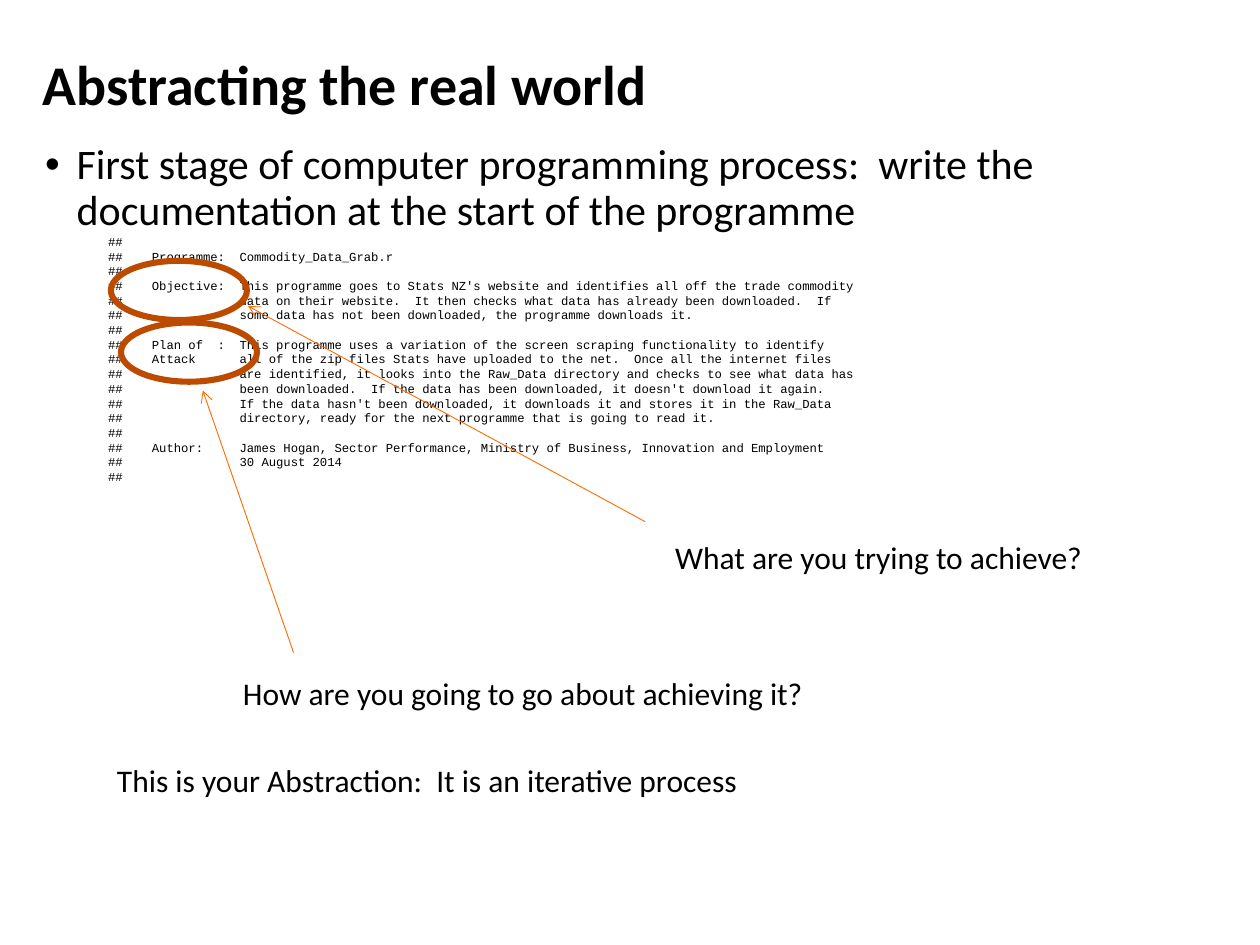
from lxml.etree import SubElement
from pptx import Presentation
from pptx.dml.color import RGBColor
from pptx.enum.shapes import MSO_CONNECTOR, MSO_SHAPE
from pptx.enum.text import MSO_ANCHOR, MSO_AUTO_SIZE, PP_ALIGN
from pptx.oxml.ns import qn
from pptx.util import Inches, Pt

HEADER = [
    "##",
    "##    Programme:  Commodity_Data_Grab.r",
    "##",
    "##    Objective:  This programme goes to Stats NZ's website and identifies all off the trade commodity",
    "##                data on their website.  It then checks what data has already been downloaded.  If",
    "##                some data has not been downloaded, the programme downloads it.",
    "##",
    "##    Plan of  :  This programme uses a variation of the screen scraping functionality to identify",
    "##    Attack      all of the zip files Stats have uploaded to the net.  Once all the internet files",
    "##                are identified, it looks into the Raw_Data directory and checks to see what data has",
    "##                been downloaded.  If the data has been downloaded, it doesn't download it again.",
    "##                If the data hasn't been downloaded, it downloads it and stores it in the Raw_Data",
    "##                directory, ready for the next programme that is going to read it.",
    "##",
    "##    Author:     James Hogan, Sector Performance, Ministry of Business, Innovation and Employment",
    "##                30 August 2014",
    "##",
]


def color(hex_code):
    return RGBColor.from_string(hex_code)


def write(p, text, size=18, font="Calibri", bold=False, spacing=None):
    p.alignment = PP_ALIGN.LEFT
    p.line_spacing = spacing
    r = p.add_run()
    r.text = text
    r.font.size = Pt(size)
    r.font.name = font
    r.font.bold = bold
    r.font.color.rgb = color("000000")


def indent(p, left, first=0, bullet=None):
    pPr = p._p.get_or_add_pPr()
    pPr.set("marL", str(Inches(left)))
    pPr.set("indent", str(Inches(first)))
    if bullet:
        SubElement(pPr, qn("a:buFont")).set("typeface", "Arial")
        SubElement(pPr, qn("a:buChar")).set("char", bullet)


def add_title(s, text):
    title = s.shapes.title
    title.left, title.top = Inches(0.24), Inches(0.26)
    title.width, title.height = Inches(8.63), Inches(0.87)
    tf = title.text_frame
    tf.auto_size = MSO_AUTO_SIZE.NONE
    tf.vertical_anchor = MSO_ANCHOR.MIDDLE
    write(tf.paragraphs[0], text, size=32, bold=True, spacing=0.9)


def add_body(s, point, code):
    box = s.shapes.add_textbox(Inches(0.26), Inches(1.09), Inches(8.63), Inches(5.38))
    tf = box.text_frame
    tf.word_wrap = True
    p = tf.paragraphs[0]
    indent(p, 0.25, -0.25, "•")
    write(p, point, size=24, spacing=0.9)
    for line in code:
        p = tf.add_paragraph()
        p.level = 1
        indent(p, 0.5)
        write(p, line, size=7, font="Courier New", spacing=Pt(8.4))


def add_ring(s, left, top):
    ring = s.shapes.add_shape(MSO_SHAPE.OVAL, Inches(left), Inches(top), Inches(1.08), Inches(0.47))
    ring.shadow.inherit = False
    ring.fill.background()
    ring.line.color.rgb = color("BC4B00")
    ring.line.width = Pt(3.5)


def add_arrow(s, x1, y1, x2, y2):
    arrow = s.shapes.add_connector(
        MSO_CONNECTOR.STRAIGHT, Inches(x1), Inches(y1), Inches(x2), Inches(y2))
    arrow.line.color.rgb = color("FF6900")
    arrow.line.width = Pt(0.5)
    SubElement(arrow.line._get_or_add_ln(), qn("a:tailEnd")).set("type", "arrow")
    SubElement(arrow._element.spPr, qn("a:effectLst"))


def add_note(s, left, top, width, text):
    box = s.shapes.add_textbox(Inches(left), Inches(top), Inches(width), Inches(0.4))
    tf = box.text_frame
    tf.word_wrap = False
    tf.auto_size = MSO_AUTO_SIZE.SHAPE_TO_FIT_TEXT
    write(tf.paragraphs[0], text)


def main():
    prs = Presentation()
    prs.slide_width, prs.slide_height = Inches(10), Inches(7.5)
    s = prs.slides.add_slide(prs.slide_layouts[5])
    add_title(s, "Abstracting the real world")
    add_body(s, "First stage of computer programming process:  write the "
                "documentation at the start of the programme", HEADER)
    add_ring(s, 0.96, 2.56)
    add_ring(s, 0.88, 2.07)
    add_arrow(s, 2.33, 5.18, 1.61, 3.1)
    add_arrow(s, 5.12, 4.14, 1.97, 2.43)
    add_note(s, 5.26, 4.22, 3.44, "What are you trying to achieve?")
    add_note(s, 1.83, 5.3, 4.66, "How are you going to go about achieving it?")
    add_note(s, 0.83, 5.99, 5.15, "This is your Abstraction:  It is an iterative process")
    prs.save("out.pptx")


if __name__ == "__main__":
    main()
